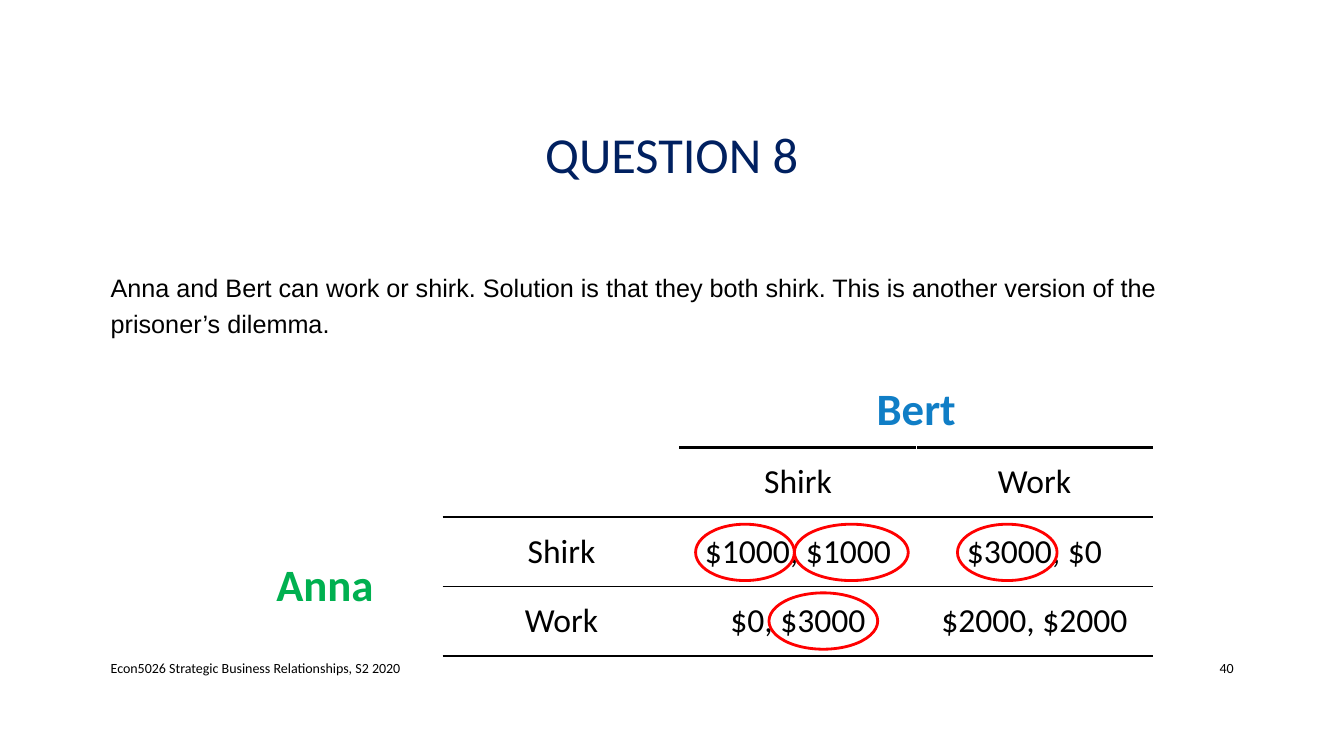
from pptx import Presentation
from pptx.dml.color import RGBColor
from pptx.enum.shapes import MSO_SHAPE as Shape
from pptx.enum.text import MSO_ANCHOR as Anchor, PP_ALIGN as Align
from pptx.oxml import parse_xml
from pptx.oxml.ns import nsdecls
from pptx.util import Cm, Pt


def hue(code):
    return RGBColor.from_string(code)


class Deck:
    """Holds the style and the current slide, and adds each kind of element."""

    font = "Calibri"
    ink = "000000"

    def __init__(self, wide, high):
        self.file = Presentation()
        self.file.slide_width, self.file.slide_height = Cm(wide), Cm(high)
        self.slide = self.file.slides.add_slide(self.file.slide_layouts[5])

    def put(self, frame, words, size, color=None, align=Align.LEFT,
            bold=False, font=None, lead=1.0):
        para = frame.paragraphs[0]
        para.alignment, para.line_spacing = align, lead
        para.space_before = Pt(0)
        run = para.add_run()
        run.text = words
        run.font.name, run.font.size = font or self.font, Pt(size)
        run.font.bold = bold
        run.font.color.rgb = hue(color or self.ink)

    def title(self, words, box, size, color):
        head = self.slide.shapes.title
        head.left, head.top, head.width, head.height = map(Cm, box)
        head.text_frame.vertical_anchor = Anchor.MIDDLE
        self.put(head.text_frame, words, size, color, Align.CENTER, lead=0.9)

    def text(self, words, box, size, anchor=Anchor.MIDDLE, **style):
        frame = self.slide.shapes.add_textbox(*map(Cm, box)).text_frame
        frame.word_wrap = True
        frame.vertical_anchor = anchor
        self.put(frame, words, size, **style)

    def rule(self, cell, edge, width):
        cell._tc.get_or_add_tcPr().append(parse_xml(
            f'<a:{edge} {nsdecls("a")} w="{Pt(width)}"><a:solidFill>'
            f'<a:srgbClr val="{self.ink}"/></a:solidFill></a:{edge}>'))

    def table(self, rows, left, top, wide, high, spans, rules, names):
        count = len(rows[0])
        grid = self.slide.shapes.add_table(
            len(rows), count, Cm(left), Cm(top),
            Cm(wide * count), Cm(high * len(rows))).table
        grid.first_row = grid.horz_banding = False
        for col in grid.columns:
            col.width = Cm(wide)
        for row in grid.rows:
            row.height = Cm(high)
        for start, end in spans:
            grid.cell(*start).merge(grid.cell(*end))
        for r, row in enumerate(rows):
            for c, words in enumerate(row):
                cell = grid.cell(r, c)
                for edge, line in (("lnT", r), ("lnB", r + 1)):
                    first, width = rules.get(line, (count, 0))
                    if c >= first:
                        self.rule(cell, edge, width)
                cell.fill.background()
                if words:
                    cell.vertical_anchor = Anchor.MIDDLE if r else Anchor.TOP
                    self.put(cell.text_frame, words,
                             32 if words in names else 24,
                             names.get(words), Align.CENTER, words in names)

    def ring(self, left, top, wide, high, color):
        oval = self.slide.shapes.add_shape(
            Shape.OVAL, *map(Cm, (left, top, wide, high)))
        oval.shadow.inherit = False
        oval.fill.background()
        oval.line.color.rgb, oval.line.width = hue(color), Pt(2)


def main():
    deck = Deck(33.87, 19.05)
    deck.title("QUESTION 8", (2.54, 1.73, 28.78, 4.45), 36, "002060")
    deck.text("Anna and Bert can work or shirk. Solution is that they both "
              "shirk. This is another version of the prisoner’s dilemma.",
              (2.54, 6.58, 28.78, 9.5), 18, Anchor.TOP, font="Arial", lead=1.2)
    deck.text("Econ5026 Strategic Business Relationships, S2 2020",
              (2.54, 16.33, 18.54, 1.02), 10)
    deck.text("40", (29.21, 16.33, 2.13, 1.02), 10, align=Align.RIGHT)

    rows = [["", "", "Bert", ""],
            ["", "", "Shirk", "Work"],
            ["Anna", "Shirk", "$1000, $1000", "$3000, $0"],
            ["", "Work", "$0, $3000", "$2000, $2000"]]
    deck.table(rows, 5.21, 9.53, 5.96, 1.75,
               spans=[((0, 2), (0, 3)), ((2, 0), (3, 0))],
               rules={1: (2, 2.25), 2: (1, 2.25), 3: (1, 1.5), 4: (1, 2.25)},
               names={"Bert": "107EC6", "Anna": "00B050"})

    for left, top, wide in ((20.02, 13.21, 2.87), (19.38, 14.94, 2.74),
                            (24.13, 13.21, 2.51), (17.53, 13.21, 2.49)):
        deck.ring(left, top, wide, 1.42, "FF0000")
    deck.file.save("out.pptx")


if __name__ == "__main__":
    main()
